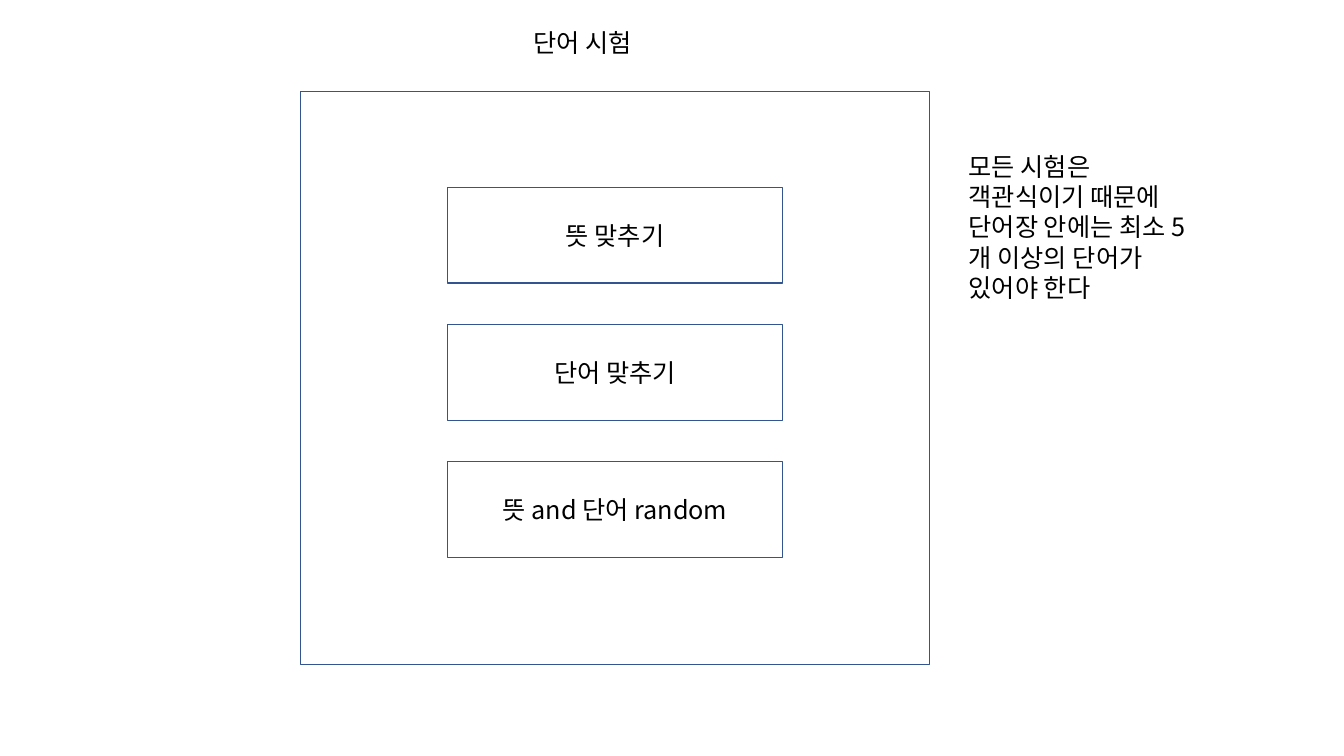
from dataclasses import dataclass

from lxml.etree import SubElement
from pptx import Presentation
from pptx.dml.color import RGBColor
from pptx.enum.shapes import MSO_SHAPE
from pptx.enum.text import MSO_ANCHOR, PP_ALIGN
from pptx.oxml.ns import qn
from pptx.util import Inches, Pt


@dataclass(frozen=True)
class Theme:
    font: str = "Noto Sans CJK KR"
    text_size: Pt = Pt(18)
    text: RGBColor = RGBColor(0x00, 0x00, 0x00)
    fill: RGBColor = RGBColor(0xFF, 0xFF, 0xFF)
    outline: RGBColor = RGBColor(0x32, 0x54, 0x91)
    outline_width: Pt = Pt(1)


class Wireframe:
    def __init__(self, slide, theme):
        self.slide = slide
        self.theme = theme

    def set_wording(self, frame, wording, align):
        frame.word_wrap = True
        frame.text = wording
        paragraph = frame.paragraphs[0]
        paragraph.alignment = align
        for run in paragraph.runs:
            run.font.size = self.theme.text_size
            run.font.color.rgb = self.theme.text
            run.font.name = self.theme.font
            # Hangul takes its typeface from a:ea
            SubElement(run.font._element, qn("a:ea"), typeface=self.theme.font)

    def panel(self, left, top, width, height, wording=""):
        panel = self.slide.shapes.add_shape(
            MSO_SHAPE.RECTANGLE,
            Inches(left), Inches(top), Inches(width), Inches(height))
        panel.shadow.inherit = False
        panel.fill.solid()
        panel.fill.fore_color.rgb = self.theme.fill
        panel.line.color.rgb = self.theme.outline
        panel.line.width = self.theme.outline_width
        if wording:
            panel.text_frame.vertical_anchor = MSO_ANCHOR.MIDDLE
            self.set_wording(panel.text_frame, wording, PP_ALIGN.CENTER)

    def label(self, left, top, width, height, wording):
        label = self.slide.shapes.add_textbox(
            Inches(left), Inches(top), Inches(width), Inches(height))
        self.set_wording(label.text_frame, wording, PP_ALIGN.LEFT)


QUIZ_MODES = ["뜻 맞추기", "단어 맞추기", "뜻 and 단어 random"]
MODE_LEFT, MODE_TOP, MODE_PITCH = 4.44, 1.86, 1.36
MODE_WIDTH, MODE_HEIGHT = 3.32, 0.95


def main():
    deck = Presentation()
    deck.slide_width, deck.slide_height = Inches(13.33), Inches(7.5)
    wireframe = Wireframe(deck.slides.add_slide(deck.slide_layouts[6]), Theme())

    wireframe.panel(2.98, 0.91, 6.24, 5.68)
    wireframe.label(5.19, 0.22, 2.22, 0.4, "단어 시험")
    for row, mode in enumerate(QUIZ_MODES):
        wireframe.panel(MODE_LEFT, MODE_TOP + row * MODE_PITCH,
                        MODE_WIDTH, MODE_HEIGHT, mode)
    wireframe.label(9.51, 1.45, 2.52, 1.62,
                    "모든 시험은 객관식이기 때문에 단어장 안에는 최소 5개 이상의 단어가 있어야 한다")

    deck.save("out.pptx")


if __name__ == "__main__":
    main()
